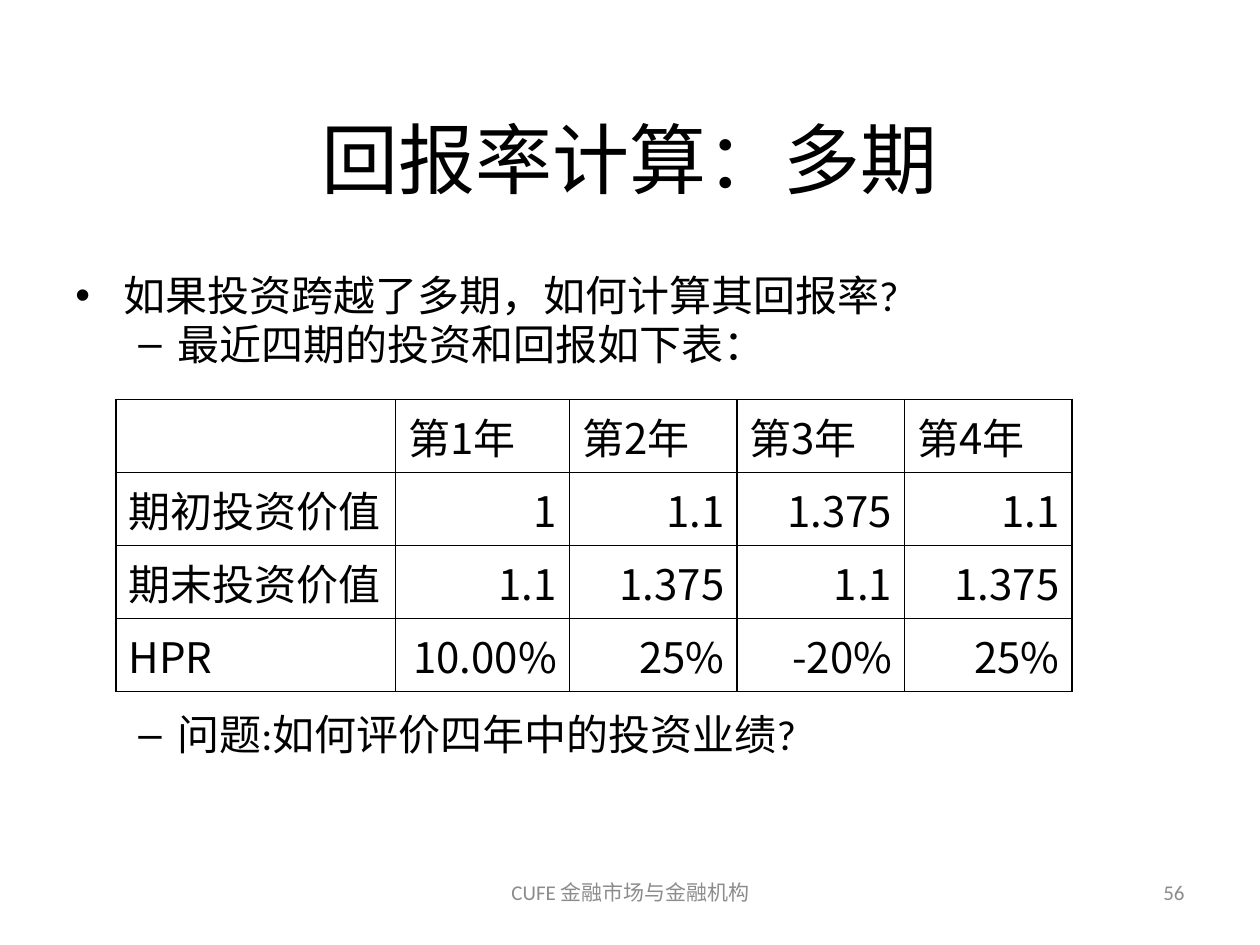
import pptx
import pptx.util
import pptx.dml.color
import pptx.enum.text
import pptx.oxml
import pptx.oxml.ns

Inches = pptx.util.Inches
Pt = pptx.util.Pt
Align = pptx.enum.text.PP_ALIGN
Anchor = pptx.enum.text.MSO_ANCHOR
HUES = {"ink": "000000", "gray": "8C8C8C"}
CJK = "Noto Sans CJK SC"


class Deck:
    def __init__(self, show):
        self.font = "Calibri"
        self.slide = show.slides.add_slide(show.slide_layouts[5])

    def node(self, home, tag, **attrs):
        item = pptx.oxml.parse_xml(f"<a:{tag} {pptx.oxml.ns.nsdecls('a')}/>")
        for key, value in attrs.items():
            item.set(key, str(value))
        home.append(item)
        return item

    def run(self, para, text, size, hue="ink", font=None):
        run = para.add_run()
        run.text = text
        run.font.size = Pt(size)
        run.font.name = font or self.font
        run.font.color.rgb = pptx.dml.color.RGBColor.from_string(HUES[hue])
        self.node(run.font._element, "ea", typeface=CJK)

    def indent(self, para, left, hang):
        props = para._p.get_or_add_pPr()
        props.set("marL", str(Inches(left)))
        props.set("indent", str(-Inches(hang)))
        return props

    def title(self, text, box):
        shape = self.slide.shapes.title
        shape.left, shape.top, shape.width, shape.height = map(Inches, box)
        shape.text_frame.vertical_anchor = Anchor.MIDDLE
        para = shape.text_frame.paragraphs[0]
        para.alignment = Align.CENTER
        self.run(para, text, 44)

    def frame(self, box, anchor):
        frame = self.slide.shapes.add_textbox(*map(Inches, box)).text_frame
        frame.word_wrap = True
        frame.vertical_anchor = anchor
        return frame

    def label(self, text, box, align):
        para = self.frame(box, Anchor.MIDDLE).paragraphs[0]
        para.alignment = align
        self.run(para, text, 12, "gray")

    def body(self, items, box):
        frame = self.frame(box, Anchor.TOP)
        for i, (text, level, gap) in enumerate(items):
            para = frame.add_paragraph() if i else frame.paragraphs[0]
            para.level = level
            para.line_spacing = 0.8
            para.space_before = Pt(gap)
            left, hang, mark = [(0.38, 0.38, "•"), (0.81, 0.31, "–")][level]
            props = self.indent(para, left, hang)
            self.node(props, "buFont", typeface="Arial")
            self.node(props, "buChar", char=mark)
            self.run(para, text, 24)

    def edge(self, cell):
        props = cell._tc.get_or_add_tcPr()
        for i, side in enumerate(("lnL", "lnR", "lnT", "lnB")):
            line = self.node(props, side, w=Pt(1))
            fill = self.node(line, "solidFill")
            self.node(fill, "srgbClr", val=HUES["ink"])
            props.remove(line)
            props.insert(i, line)

    def table(self, rows, spot, widths, height):
        size = (sum(widths), height * len(rows))
        grid = self.slide.shapes.add_table(
            len(rows), len(widths), *map(Inches, spot + size)).table
        grid.first_row = grid.horz_banding = False
        for col, width in zip(grid.columns, widths):
            col.width = Inches(width)
        for r, row in enumerate(rows):
            grid.rows[r].height = Inches(height)
            for c, text in enumerate(row):
                cell = grid.cell(r, c)
                cell.fill.background()
                cell.vertical_anchor = Anchor.BOTTOM
                self.edge(cell)
                if text:
                    para = cell.text_frame.paragraphs[0]
                    para.alignment = Align.RIGHT if r and c else Align.LEFT
                    self.indent(para, 0.38, 0.38)
                    self.run(para, text, 24, font=CJK)


def main():
    show = pptx.Presentation()
    show.slide_width, show.slide_height = Inches(10), Inches(7.5)
    deck = Deck(show)
    deck.label("CUFE 金融市场与金融机构", (3.42, 6.83, 3.17, 0.5), Align.CENTER)
    deck.label("56", (7.17, 6.83, 2.33, 0.5), Align.RIGHT)
    deck.title("回报率计算：多期", (0.5, 0.5, 9, 1.5))
    deck.body([
        ("如果投资跨越了多期，如何计算其回报率?", 0, 4.8),
        ("最近四期的投资和回报如下表：", 1, 4.8),
        ("问题:如何评价四年中的投资业绩?", 1, 200),
    ], (0.5, 2.17, 9, 4.25))
    deck.table([
        ["", "第1年", "第2年", "第3年", "第4年"],
        ["期初投资价值", "1", "1.1", "1.375", "1.1"],
        ["期末投资价值", "1.1", "1.375", "1.1", "1.375"],
        ["HPR", "10.00%", "25%", "-20%", "25%"],
    ], (0.92, 3.17), (2.22, 1.38, 1.33, 1.33, 1.33), 0.58)
    show.save("out.pptx")


if __name__ == "__main__":
    main()
